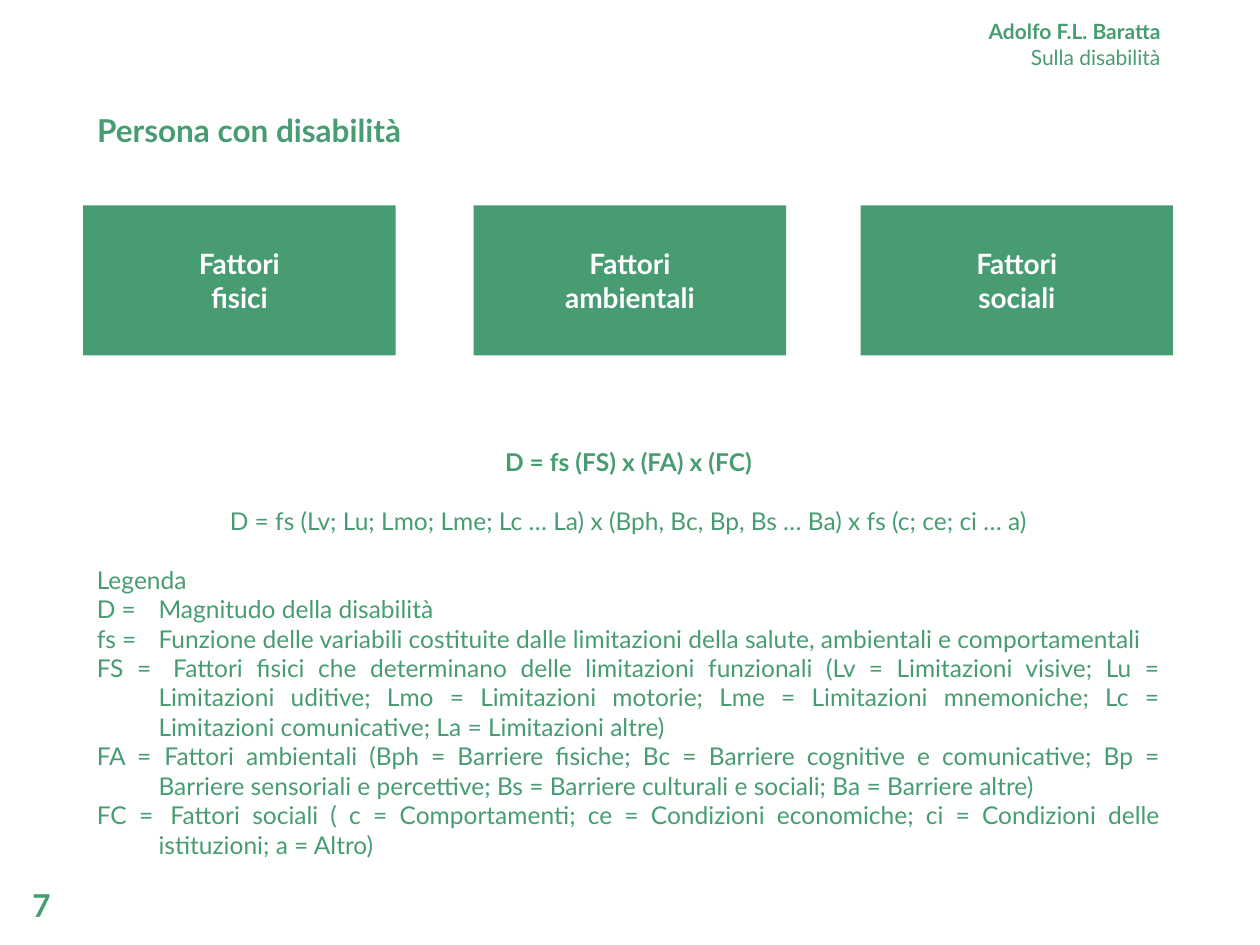
from dataclasses import dataclass

from pptx import Presentation
from pptx.dml.color import RGBColor
from pptx.enum.shapes import MSO_SHAPE as Shape
from pptx.enum.text import MSO_ANCHOR as Anchor, MSO_AUTO_SIZE as AutoSize, PP_ALIGN as Align
from pptx.util import Inches, Pt


@dataclass(frozen=True)
class Theme:
    font: str = "Lato"
    green: RGBColor = RGBColor(0x48, 0x9C, 0x72)
    white: RGBColor = RGBColor(0xFF, 0xFF, 0xFF)
    heading: int = 18
    factor: int = 16
    body: int = 14
    header: int = 12


theme = Theme()


def write(box, lines, size, align, color=theme.green, bold_lines=None, anchor=Anchor.TOP):
    """Fill a box, one paragraph a line; only the first bold_lines are bold (None: all)."""
    frame = box.text_frame
    frame.text = "\n".join(lines)
    frame.word_wrap = True
    frame.auto_size = AutoSize.NONE
    frame.vertical_anchor = anchor
    for index, para in enumerate(frame.paragraphs):
        para.alignment = align
        for span in para.runs:
            span.font.name = theme.font
            span.font.size = Pt(size)
            span.font.bold = bold_lines is None or index < bold_lines
            span.font.color.rgb = color
    return frame.paragraphs


deck = Presentation()
deck.slide_width, deck.slide_height = Inches(10), Inches(7.5)
page = deck.slides.add_slide(deck.slide_layouts[5])
left, width = Inches(0.67), Inches(8.64)

# Title
title = page.shapes.title
title.left, title.top, title.width, title.height = left, Inches(0.83), width, Inches(0.4)
write(title, ["Persona con disabilità"], theme.heading, Align.LEFT)

# Formulas and legend
formulas = [
    "D = fs (FS) x (FA) x (FC)",
    "D = fs (Lv; Lu; Lmo; Lme; Lc … La) x (Bph, Bc, Bp, Bs … Ba) x fs (c; ce; ci … a)",
]
legend = [
    "D = \tMagnitudo della disabilità",
    "fs = \tFunzione delle variabili costituite dalle limitazioni della salute, "
    "ambientali e comportamentali",
    "FS = \tFattori fisici che determinano delle limitazioni funzionali "
    "(Lv = Limitazioni visive; Lu = Limitazioni uditive; Lmo = Limitazioni motorie; "
    "Lme = Limitazioni mnemoniche; Lc = Limitazioni comunicative; La = Limitazioni altre)",
    "FA =\tFattori ambientali (Bph = Barriere fisiche; Bc = Barriere cognitive e comunicative; "
    "Bp = Barriere sensoriali e percettive; Bs = Barriere culturali e sociali; "
    "Ba = Barriere altre)",
    "FC = \tFattori sociali ( c = Comportamenti; ce = Condizioni economiche; "
    "ci = Condizioni delle istituzioni; a = Altro)",
]
body = page.shapes.add_textbox(left, Inches(3.5), width, Inches(3.4))
paras = write(body, [*formulas, "Legenda", *legend], theme.body, Align.JUSTIFY, bold_lines=1)
for para in paras[:2]:
    para.alignment = Align.CENTER
for para in paras[1:3]:
    para.space_before = Pt(1.2 * theme.body)
for para in paras[3:]:
    properties = para._p.get_or_add_pPr()
    properties.set("marL", str(Inches(0.49)))
    properties.set("indent", str(-Inches(0.49)))

# Factors
for factor_left, factor in [(0.66, "fisici"), (3.76, "ambientali"), (6.83, "sociali")]:
    box = page.shapes.add_shape(
        Shape.RECTANGLE, Inches(factor_left), Inches(1.63), Inches(2.48), Inches(1.19))
    box.shadow.inherit = False
    box.fill.solid()
    box.fill.fore_color.rgb = theme.green
    box.line.fill.background()
    write(box, ["Fattori", factor], theme.factor, Align.CENTER, theme.white, anchor=Anchor.MIDDLE)

# Page number and running header
number = page.shapes.add_textbox(Inches(0.07), Inches(6.98), Inches(0.52), Inches(0.4))
write(number, ["7"], theme.heading, Align.CENTER)
header = page.shapes.add_textbox(left, Inches(0.1), width, Inches(0.5))
write(header, ["Adolfo F.L. Baratta", "Sulla disabilità"], theme.header, Align.RIGHT,
      bold_lines=1, anchor=Anchor.MIDDLE)

deck.save("out.pptx")
